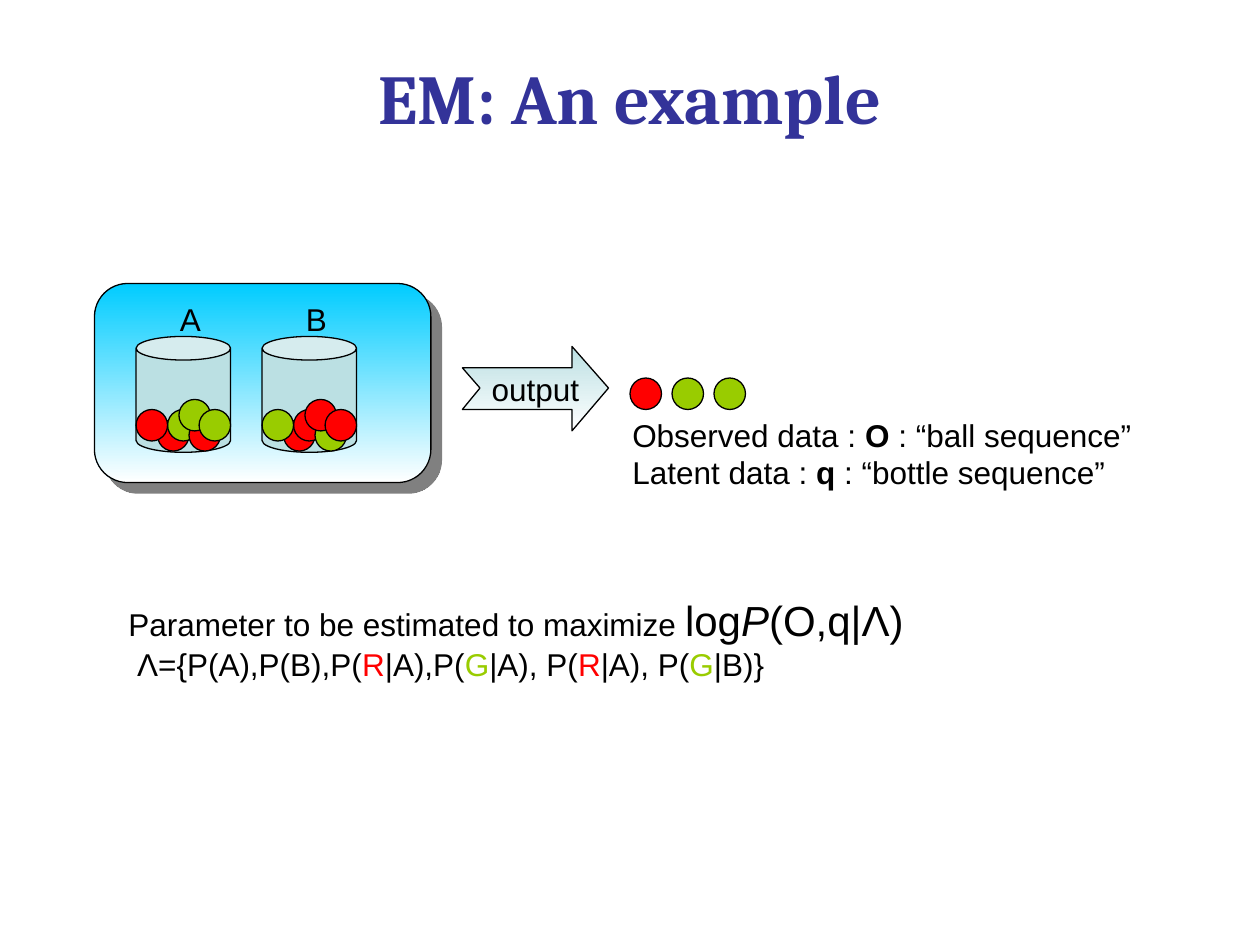
from lxml import etree
from pptx import Presentation
from pptx.dml.color import RGBColor
from pptx.enum import shapes, text
from pptx.oxml.ns import qn
from pptx.util import Inches, Pt

RED, GREEN, BLACK, GLASS = "FF0000", "99CC00", "000000", "BBE0E3"
SIZE = 0.25
KIND = shapes.MSO_SHAPE
# Ball offsets from the left and top of a bottle, back to front
SPOTS = [(0.17, 0.66), (0.25, 0.58), (0.42, 0.66),
         (0, 0.58), (0.34, 0.5), (0.5, 0.58)]
BOTTLES = [
    ("A", 1.08, [RED, GREEN, RED, RED, GREEN, GREEN]),
    ("B", 2.08, [RED, RED, GREEN, GREEN, RED, RED]),
]


def rgb(code):
    return RGBColor.from_string(code)


def paint(shape, code, fade=False):
    """Fill with one colour, or fade it down to white, and outline in black."""
    shape.shadow.inherit = False
    if fade:
        shape.fill.gradient()
        shape.fill.gradient_angle = 270
        for stop, tone in zip(shape.fill.gradient_stops, (code, "FFFFFF")):
            stop.color.rgb = rgb(tone)
    else:
        shape.fill.solid()
        shape.fill.fore_color.rgb = rgb(code)
    shape.line.color.rgb = rgb(BLACK)
    shape.line.width = Pt(0.75)


def add_form(slide, kind, x, y, w, h, code, fade=False):
    form = slide.shapes.add_shape(kind, Inches(x), Inches(y), Inches(w), Inches(h))
    paint(form, code, fade)
    return form


def add_ball(slide, x, y, code):
    add_form(slide, KIND.OVAL, x, y, SIZE, SIZE, code)


def drop_shadow(shape):
    effects = shape._element.spPr.find(qn("a:effectLst"))
    outer = etree.SubElement(effects, qn("a:outerShdw"), dist=str(Pt(8.5)),
                             dir="2700000", algn="ctr", rotWithShape="0")
    etree.SubElement(outer, qn("a:srgbClr"), val="808080")


def write(frame, lines, size=18, face="Arial", code=BLACK, bold=False, align=None):
    """Each line is a list of (words, font changes) pairs."""
    for i, line in enumerate(lines):
        para = frame.paragraphs[0] if i == 0 else frame.add_paragraph()
        para.alignment = align
        font = para.font
        font.name, font.size, font.bold = face, Pt(size), bold
        font.color.rgb = rgb(code)
        for words, look in line:
            run = para.add_run()
            run.text = words
            for key, value in look.items():
                if key == "color":
                    run.font.color.rgb = rgb(value)
                else:
                    setattr(run.font, key, value)


def add_text(slide, x, y, w, h, lines, wrap=False, **look):
    box = slide.shapes.add_textbox(Inches(x), Inches(y), Inches(w), Inches(h))
    box.text_frame.word_wrap = wrap
    write(box.text_frame, lines, **look)
    return box.text_frame


def add_bottle(slide, name, x, balls):
    y = 2.67
    add_form(slide, KIND.CAN, x, y, 0.75, 0.92, GLASS)
    for (dx, dy), code in zip(SPOTS, balls):
        add_ball(slide, x + dx, y + dy, code)
    add_text(slide, x + 0.25, 2.33, 0.36, 0.4, [[(name, {})]])


def add_arrow(slide, label):
    points = [(3.67, 2.92), (4.54, 2.92), (4.54, 2.75), (4.83, 3.08),
              (4.54, 3.42), (4.54, 3.25), (3.67, 3.25), (3.81, 3.08)]
    spots = [(Inches(x), Inches(y)) for x, y in points]
    path = slide.shapes.build_freeform(*spots[0])
    path.add_line_segments(spots[1:], close=True)
    arrow = path.convert_to_shape()
    paint(arrow, GLASS, fade=True)
    frame = arrow.text_frame
    frame.word_wrap = False
    frame.vertical_anchor = text.MSO_ANCHOR.MIDDLE
    write(frame, [[(label, {})]], align=text.PP_ALIGN.CENTER)


def main():
    deck = Presentation()
    deck.slide_width, deck.slide_height = Inches(10), Inches(7.5)
    slide = deck.slides.add_slide(deck.slide_layouts[6])

    title = add_text(slide, 0.5, 0.3, 9, 0.93, [[("EM: An example", {})]],
                     wrap=True, size=40, face="Cambria", code="333399",
                     bold=True, align=text.PP_ALIGN.CENTER)
    title.vertical_anchor = text.MSO_ANCHOR.MIDDLE

    panel = add_form(slide, KIND.ROUNDED_RECTANGLE, 0.75, 2.25, 2.67, 1.58,
                     "00CCFF", fade=True)
    drop_shadow(panel)
    for name, x, balls in BOTTLES:
        add_bottle(slide, name, x, balls)

    add_arrow(slide, "output")
    for i, code in enumerate([RED, GREEN, GREEN]):
        add_ball(slide, 5 + i / 3, 3, code)

    strong = {"bold": True}
    add_text(slide, 4.92, 3.25, 4.16, 0.7, [
        [("Observed data : ", {}), ("O", strong), (" : “ball sequence”", {})],
        [("Latent data : ", {}), ("q", strong), (" : “bottle sequence”", {})],
    ])

    big, red, green = {"size": Pt(24)}, {"color": RED}, {"color": GREEN}
    goal = add_text(slide, 0.92, 4.67, 7.85, 0.8, [
        [("Parameter to be estimated to maximize ", {}), ("log", big),
         ("P", {**big, "italic": True}), ("(O,q|Λ)", big)],
        [("Λ={P(A),P(B),P(", {}), ("R", red), ("|A),P(", {}), ("G", green),
         ("|A), P(", {}), ("R", red), ("|A), P(", {}), ("G", green), ("|B)}", {})],
    ], wrap=True)
    goal.paragraphs[1]._p.get_or_add_pPr().set("marL", str(Inches(0.07)))

    deck.save("out.pptx")


if __name__ == "__main__":
    main()
